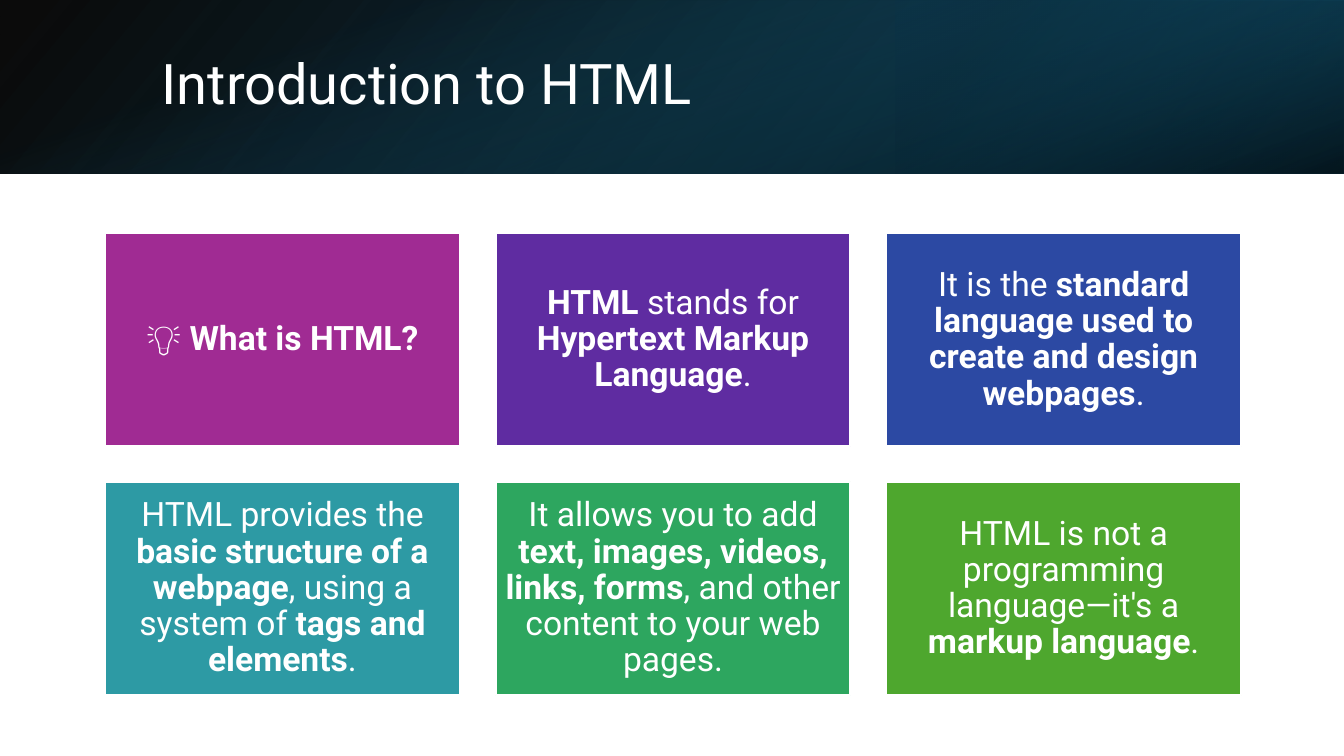
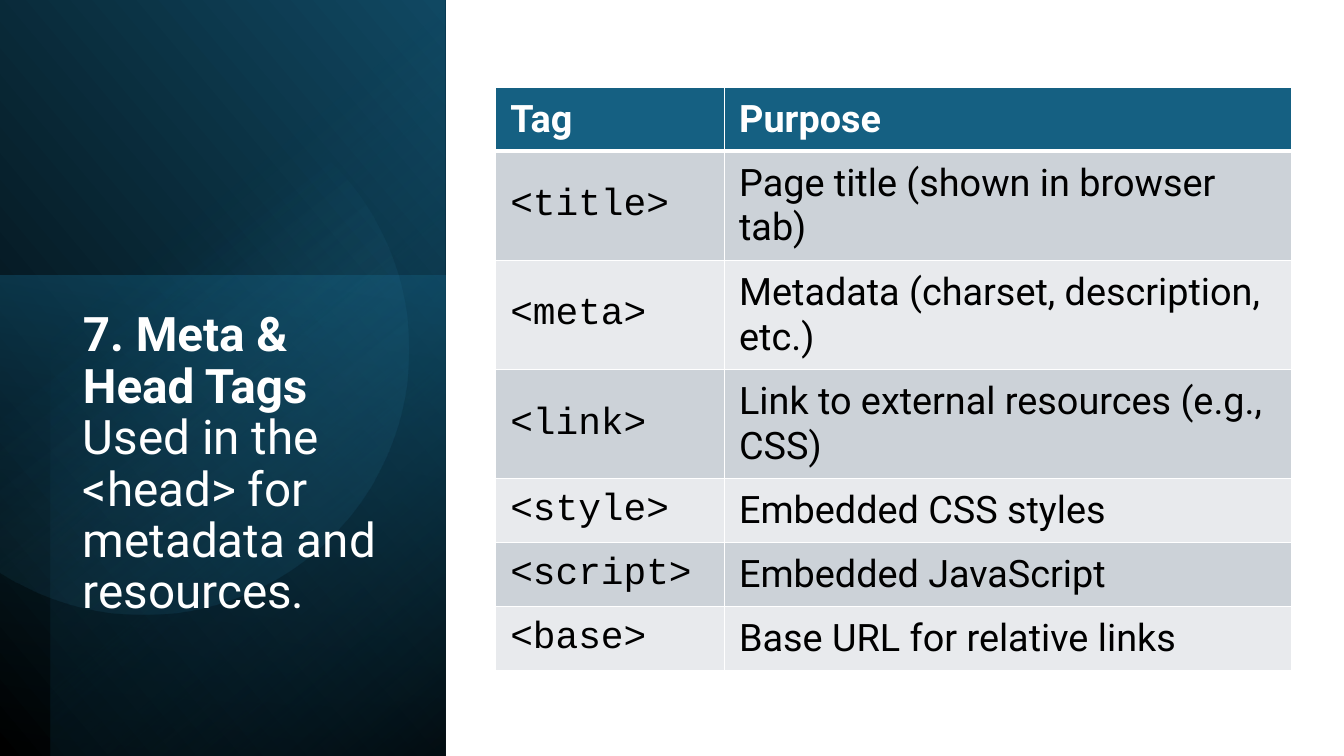
from math import acos, cos, degrees, radians, sin

from pptx import Presentation
from pptx.dml.color import RGBColor
from pptx.enum.shapes import MSO_SHAPE as SHAPE
from pptx.enum.text import MSO_ANCHOR as ANCHOR, PP_ALIGN as ALIGN
from pptx.oxml import parse_xml
from pptx.oxml.ns import nsdecls, qn
from pptx.util import Pt

PX = 9525  # EMU per px
SLIDE_W, SLIDE_H = 1280, 720

COLORS = {
    "white": "FFFFFF", "black": "000000", "navy": "104862",
    "deep": "0B3041", "teal": "156082", "sky": "46B1E1",
    "row_dark": "CCD2D8", "row_light": "E8EAED",
}
SANS, MONO = "Roboto", "Courier New"

# Content: ** marks the start and end of bold text
INTRO_TITLE = "Introduction to HTML"
CARDS = [
    ("A02B93", "**💡 What is HTML?**"),
    ("5F2CA1", "**HTML** stands for **Hypertext Markup Language**."),
    ("2C49A3", "It is the **standard language used to create and design webpages**."),
    ("2D9AA4", "HTML provides the **basic structure of a webpage**, "
               "using a system of **tags and elements**."),
    ("2DA65F", "It allows you to add **text, images, videos, links, forms**, "
               "and other content to your web pages."),
    ("4EA72E", "HTML is not a programming language—it's a **markup language**."),
]
HEAD_TITLE = "**7. Meta & Head Tags**\nUsed in the <head> for metadata and resources."
TAGS = [
    ("**Tag**", "**Purpose**"),
    ("<title>", "Page title (shown in browser tab)"),
    ("<meta>", "Metadata (charset, description, etc.)"),
    ("<link>", "Link to external resources (e.g., CSS)"),
    ("<style>", "Embedded CSS styles"),
    ("<script>", "Embedded JavaScript"),
    ("<base>", "Base URL for relative links"),
]

# Gradient layers: box, rotation, flipped, angle, stops (position, colour, opacity)
TOP_BAND = [
    ((0, 0, SLIDE_W, 165), 0, True, 140, [(0, "black", 96), (100, "navy", 100)]),
    ((853, 0, 427, 165), 180, True, 320, [(19, "deep", 68), (100, "teal", 79)]),
    ((557, -557, 165, SLIDE_W), 90, False, 340, [(23, "teal", 0), (99, "black", 74)]),
]
SIDE_PANEL = [
    ((-149, 149, 722, 424), 90, True, 310, [(0, "black", 100), (100, "navy", 100)]),
    ((-16, 279, 457, 424), 270, False, 190, [(0, "teal", 50), (100, "deep", 0)]),
    ((-124, 172, 720, 376), 270, True, 220, [(0, "black", 59), (69, "teal", 0)]),
]
DISC_CENTER, DISC_RADIUS = (137, 333), 252
DISC_STOPS = [(39, "sky", 0), (100, "navy", 26)]

# Card grid and table measures
CARD_LEFT, CARD_TOP, CARD_W, CARD_H = 100, 222, 338, 203
CARD_STEP_X, CARD_STEP_Y, CARD_COLS = 372, 237, 3
TABLE_LEFT, TABLE_TOP = 472, 83
COL_WIDTHS = [218, 540]
ROW_HEIGHTS = [61, 104, 104, 104, 61, 61, 61]


def emu(*lengths):
    return [round(n * PX) for n in lengths]


def rgb(name):
    return RGBColor.from_string(COLORS.get(name, name))


def write(tf, text, size=24, font=SANS, color="white", align=ALIGN.LEFT,
          anchor=ANCHOR.MIDDLE, spacing=0.9, inset=(10, 5)):
    tf.word_wrap = True
    tf.vertical_anchor = anchor
    tf.margin_left = tf.margin_right = inset[0] * PX
    tf.margin_top = tf.margin_bottom = inset[1] * PX
    p = tf.paragraphs[0]
    p.alignment, p.line_spacing = align, spacing
    for i, part in enumerate(text.split("**")):
        for j, line in enumerate(part.split("\n")):
            if j:
                p.add_line_break()
            if line:
                r = p.add_run()
                r.text = line
                r.font.name, r.font.size = font, Pt(size)
                r.font.bold = i % 2 == 1
                r.font.color.rgb = rgb(color)


def add_title(s, box, text, **fmt):
    write(s.shapes.add_textbox(*emu(*box)).text_frame, text, **fmt)


def fill_gradient(sp, angle, stops):
    sp.shadow.inherit = False
    sp.line.fill.background()
    sp.fill.background()
    stop_xml = "".join(
        f'<a:gs pos="{pos * 1000}"><a:srgbClr val="{COLORS[color]}">'
        f'<a:alpha val="{alpha * 1000}"/></a:srgbClr></a:gs>'
        for pos, color, alpha in stops)
    grad = parse_xml(
        f'<a:gradFill {nsdecls("a")} rotWithShape="1"><a:gsLst>{stop_xml}</a:gsLst>'
        f'<a:lin ang="{angle * 60000}" scaled="0"/></a:gradFill>')
    sp_pr = sp.element.spPr
    sp_pr.replace(sp_pr.find(qn("a:noFill")), grad)


def add_layers(s, layers):
    for box, rotation, flipped, angle, stops in layers:
        sp = s.shapes.add_shape(SHAPE.RECTANGLE, *emu(*box))
        sp.rotation = rotation
        if flipped:
            sp.element.spPr.find(qn("a:xfrm")).set("flipH", "1")
        fill_gradient(sp, angle, stops)


def add_disc(s):
    # Circle cut off by the left edge of the slide
    cx, cy = DISC_CENTER
    limit = degrees(acos(-cx / DISC_RADIUS))
    steps = 120
    angles = [radians(limit * (2 * i / steps - 1)) for i in range(steps + 1)]
    points = [emu(cx + DISC_RADIUS * cos(a), cy + DISC_RADIUS * sin(a)) for a in angles]
    builder = s.shapes.build_freeform(*points[0])
    builder.add_line_segments(points[1:], close=True)
    fill_gradient(builder.convert_to_shape(), 52, DISC_STOPS)


def add_card(s, index, color, text):
    row, col = divmod(index, CARD_COLS)
    sp = s.shapes.add_shape(SHAPE.RECTANGLE, *emu(
        CARD_LEFT + col * CARD_STEP_X, CARD_TOP + row * CARD_STEP_Y, CARD_W, CARD_H))
    sp.shadow.inherit = False
    sp.fill.solid()
    sp.fill.fore_color.rgb = rgb(color)
    sp.line.color.rgb = rgb("white")
    sp.line.width = Pt(1.5)
    write(sp.text_frame, text, align=ALIGN.CENTER, inset=(9, 9))


def set_borders(cell, bottom):
    tc_pr = cell._tc.get_or_add_tcPr()
    for i, (side, width) in enumerate([("L", 1), ("R", 1), ("T", 1), ("B", bottom)]):
        tc_pr.insert(i, parse_xml(
            f'<a:ln{side} {nsdecls("a")} w="{Pt(width)}"><a:solidFill>'
            f'<a:srgbClr val="{COLORS["white"]}"/></a:solidFill></a:ln{side}>'))


def add_tag_table(s):
    table = s.shapes.add_table(
        len(TAGS), len(COL_WIDTHS),
        *emu(TABLE_LEFT, TABLE_TOP, sum(COL_WIDTHS), sum(ROW_HEIGHTS))).table
    for col, width in zip(table.columns, COL_WIDTHS):
        col.width = width * PX
    for i, (texts, height) in enumerate(zip(TAGS, ROW_HEIGHTS)):
        table.rows[i].height = height * PX
        header = i == 0
        fill = "teal" if header else ("row_light", "row_dark")[i % 2]
        for j, text in enumerate(texts):
            cell = table.cell(i, j)
            cell.fill.solid()
            cell.fill.fore_color.rgb = rgb(fill)
            write(cell.text_frame, text, size=27, spacing=1.0,
                  font=SANS if header or j else MONO,
                  color="white" if header else "black")
            cell.vertical_anchor = ANCHOR.MIDDLE
            cell.margin_left = cell.margin_right = 14 * PX
            cell.margin_top = cell.margin_bottom = 7 * PX
            set_borders(cell, 3 if header or i == 1 and False else 1)


def main():
    prs = Presentation()
    prs.slide_width, prs.slide_height = emu(SLIDE_W, SLIDE_H)
    blank = prs.slide_layouts[6]

    # Introduction: top band and card grid
    s = prs.slides.add_slide(blank)
    add_layers(s, TOP_BAND)
    add_title(s, (144, 36, 1054, 92), INTRO_TITLE, size=40)
    for i, (color, text) in enumerate(CARDS):
        add_card(s, i, color, text)

    # Head tags: side panel and table
    s = prs.slides.add_slide(blank)
    add_layers(s, SIDE_PANEL)
    add_disc(s)
    add_title(s, (69, 291, 302, 323), HEAD_TITLE, size=34, anchor=ANCHOR.TOP)
    add_tag_table(s)

    prs.save("out.pptx")


if __name__ == "__main__":
    main()
